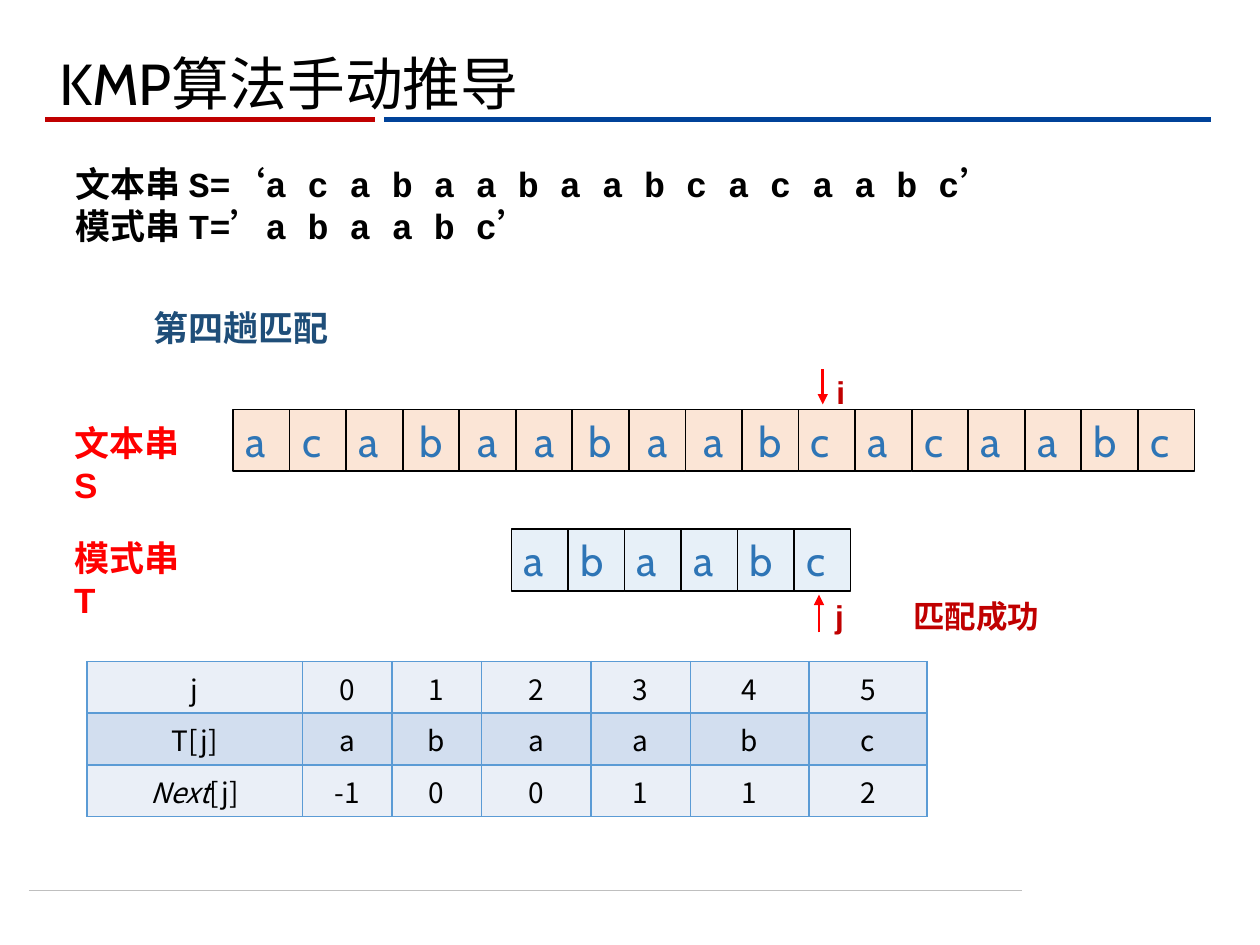
from dataclasses import dataclass

from lxml.etree import SubElement
from pptx import Presentation
from pptx.dml.color import RGBColor
from pptx.enum.shapes import MSO_CONNECTOR as Connector, MSO_SHAPE as Shape
from pptx.enum.text import MSO_ANCHOR as Anchor, PP_ALIGN as Align
from pptx.oxml.ns import qn
from pptx.util import Inches, Pt

CJK_FONT = "Noto Sans CJK SC"
RED, DARK_RED, BLACK = "FF0000", "C00000", "000000"


@dataclass
class Label:
    text: str
    left: float
    top: float
    width: float
    height: float
    size: float = 20
    color: str = BLACK
    font: str = "Arial"
    bold: bool = True
    anchor: Anchor = Anchor.TOP
    line_spacing: float = 1.0
    tab: float = 0


@dataclass
class Line:
    start: tuple[float, float]
    end: tuple[float, float]
    color: str
    width: float
    arrow: bool = False


@dataclass
class Strip:
    letters: str
    left: float
    top: float
    width: float
    fill: str
    alpha: int = 100
    centered: range = range(0)


LABELS = [
    Label("KMP算法手动推导", 0.37, -0.04, 8.62, 1.45, size=33, font="Cabin",
          bold=False, anchor=Anchor.MIDDLE, line_spacing=0.9),
    Label("文本串 S=‘a c a b a a b a a b c a c a a b c’\n模式串 T=’a b a a b c’",
          0.5, 1.24, 7.98, 0.77, font="Courier New"),
    Label("第四趟匹配", 1.12, 2.38, 1.65, 0.44, color="1F4E79"),
    Label("文本串S", 0.49, 3.3, 1.16, 0.44, color=RED),
    Label("模式串T", 0.49, 4.21, 1.16, 0.44, color=RED),
    Label("i", 6.54, 2.91, 0.3, 0.4, size=18, color=DARK_RED),
    Label("j\t匹配成功", 6.53, 4.69, 1.9, 0.4, size=18, color=DARK_RED, tab=0.62),
]
LINES = [
    Line((0.23, 7.07), (8.11, 7.07), "BFBFBF", 0.5),
    Line((3.05, 0.95), (9.61, 0.95), "004299", 3),
    Line((0.36, 0.95), (2.98, 0.95), DARK_RED, 3),
    Line((6.53, 2.93), (6.53, 3.21), RED, 1.5, arrow=True),
    Line((6.5, 5.02), (6.5, 4.72), RED, 1.5, arrow=True),
]
STRIPS = [
    Strip("acabaabaabcacaabc", 1.85, 3.25, 7.63, "FBE5D6", centered=range(3, 10)),
    Strip("abaabc", 4.06, 4.2, 2.69, "BDD7EE", alpha=36),
]
NEXT_ROWS = [
    ["j", "0", "1", "2", "3", "4", "5"],
    ["T[j]", "a", "b", "a", "a", "b", "c"],
    ["Next[j]", "-1", "0", "0", "1", "1", "2"],
]
COLUMN_WIDTHS = [1.71, 0.71, 0.71, 0.87, 0.79, 0.94, 0.94]
ROW_HEIGHT = 0.41


def paint(target, color: str) -> None:
    """Set a fill or a line fill to a solid colour."""
    target.solid()
    target.fore_color.rgb = RGBColor.from_string(color)


def write_text(frame, text: str, *, size: float, color: str, font: str,
               bold: bool = False, align: Align = Align.LEFT,
               line_spacing: float = 1.0, italic_prefix: str = "") -> None:
    frame.word_wrap = True
    for index, content in enumerate(text.split("\n")):
        paragraph = frame.paragraphs[0] if index == 0 else frame.add_paragraph()
        paragraph.alignment = align
        paragraph.line_spacing = line_spacing
        has_prefix = bool(italic_prefix) and content.startswith(italic_prefix)
        parts = [(content, False)]
        if has_prefix:
            parts = [(italic_prefix, True), (content[len(italic_prefix):], False)]
        for part, italic in parts:
            run = paragraph.add_run()
            run.text = part
            run.font.size = Pt(size)
            run.font.bold = bold
            run.font.italic = italic
            paint(run.font.fill, color)
            run.font.name = font
            SubElement(run._r.get_or_add_rPr(), qn("a:ea"), typeface=CJK_FONT)


def draw_label(slide, label: Label) -> None:
    box = slide.shapes.add_textbox(Inches(label.left), Inches(label.top),
                                   Inches(label.width), Inches(label.height))
    frame = box.text_frame
    frame.vertical_anchor = label.anchor
    write_text(frame, label.text, size=label.size, color=label.color,
               font=label.font, bold=label.bold, line_spacing=label.line_spacing)
    if label.tab:
        properties = frame.paragraphs[0]._p.get_or_add_pPr()
        stops = SubElement(properties, qn("a:tabLst"))
        SubElement(stops, qn("a:tab"), pos=str(Inches(label.tab)), algn="l")


def draw_line(slide, line: Line) -> None:
    points = [Inches(value) for value in (*line.start, *line.end)]
    connector = slide.shapes.add_connector(Connector.STRAIGHT, *points)
    paint(connector.line.fill, line.color)
    connector.line.width = Pt(line.width)
    if line.arrow:
        SubElement(connector.line._get_or_add_ln(), qn("a:tailEnd"), type="triangle")
    SubElement(connector._element.spPr, qn("a:effectLst"))


def draw_strip(slide, strip: Strip) -> None:
    cell_width = strip.width / len(strip.letters)
    for index, letter in enumerate(strip.letters):
        shape = slide.shapes.add_shape(
            Shape.RECTANGLE, Inches(strip.left + index * cell_width),
            Inches(strip.top), Inches(cell_width), Inches(0.49))
        shape.shadow.inherit = False
        paint(shape.fill, strip.fill)
        if strip.alpha < 100:
            color = shape._element.spPr.find(qn("a:solidFill"))[0]
            SubElement(color, qn("a:alpha"), val=str(strip.alpha * 1000))
        paint(shape.line.fill, BLACK)
        shape.line.width = Pt(1)
        shape.text_frame.vertical_anchor = Anchor.MIDDLE
        align = Align.CENTER if index in strip.centered else Align.JUSTIFY
        write_text(shape.text_frame, letter, size=24, color="2E75B6",
                   font="Cabin", align=align)


def add_borders(cell, color: str) -> None:
    properties = cell._tc.get_or_add_tcPr()
    for side in ("a:lnL", "a:lnR", "a:lnT", "a:lnB"):
        border = SubElement(properties, qn(side), w=str(Pt(1)))
        fill = SubElement(border, qn("a:solidFill"))
        SubElement(fill, qn("a:srgbClr"), val=color)


def draw_next_table(slide) -> None:
    table = slide.shapes.add_table(
        len(NEXT_ROWS), len(COLUMN_WIDTHS), Inches(0.69), Inches(5.25),
        Inches(sum(COLUMN_WIDTHS)), Inches(ROW_HEIGHT * len(NEXT_ROWS))).table
    table.first_row = table.horz_banding = False
    for column, width in zip(table.columns, COLUMN_WIDTHS):
        column.width = Inches(width)
    for row_index, values in enumerate(NEXT_ROWS):
        table.rows[row_index].height = Inches(ROW_HEIGHT)
        for column_index, value in enumerate(values):
            cell = table.cell(row_index, column_index)
            add_borders(cell, "5B9BD5")
            paint(cell.fill, "D2DEEF" if row_index % 2 else "EAEFF7")
            write_text(cell.text_frame, value, size=16, color=BLACK,
                       font=CJK_FONT, align=Align.CENTER, italic_prefix="Next")


def main() -> None:
    presentation = Presentation()
    presentation.slide_width, presentation.slide_height = Inches(10), Inches(7.5)
    slide = presentation.slides.add_slide(presentation.slide_layouts[6])

    # Rules and pointer arrows
    for line in LINES:
        draw_line(slide, line)
    # Text string and pattern string
    for strip in STRIPS:
        draw_strip(slide, strip)
    # Title, definitions and captions
    for label in LABELS:
        draw_label(slide, label)
    # Next array
    draw_next_table(slide)

    presentation.save("out.pptx")


if __name__ == "__main__":
    main()
